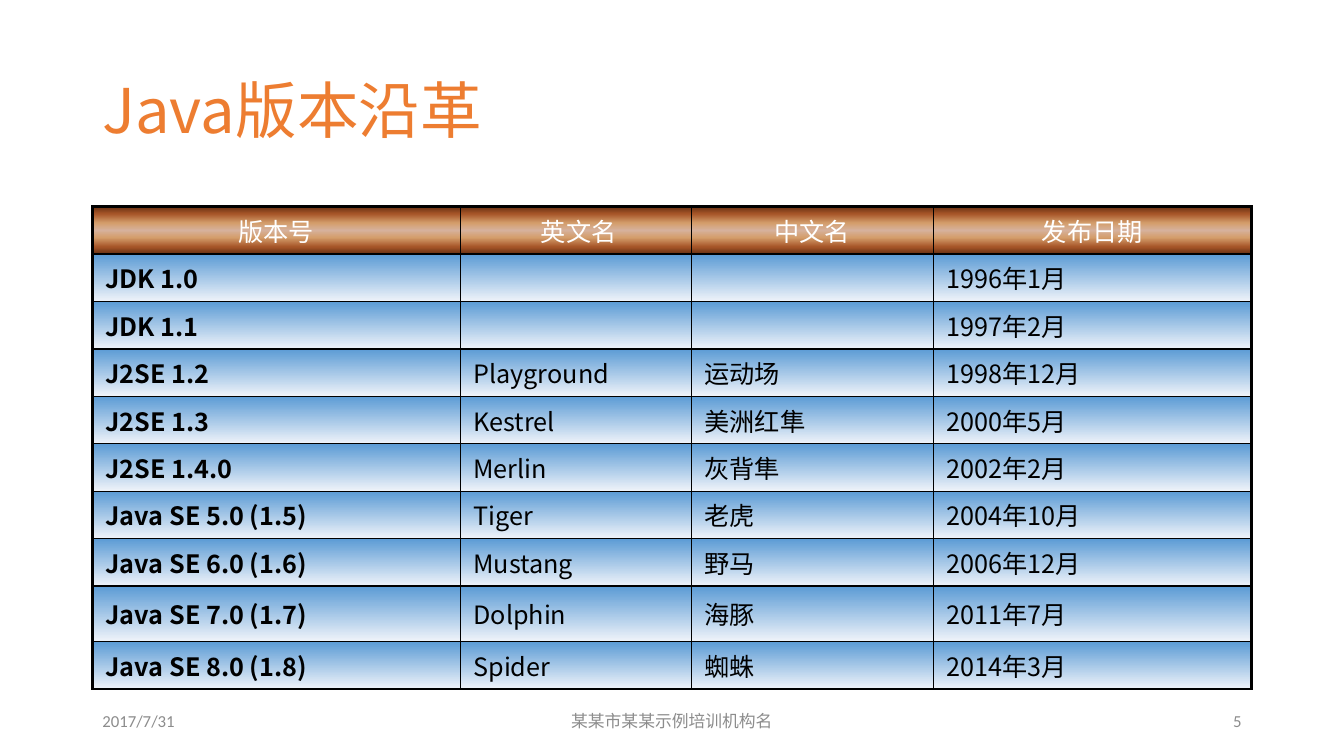
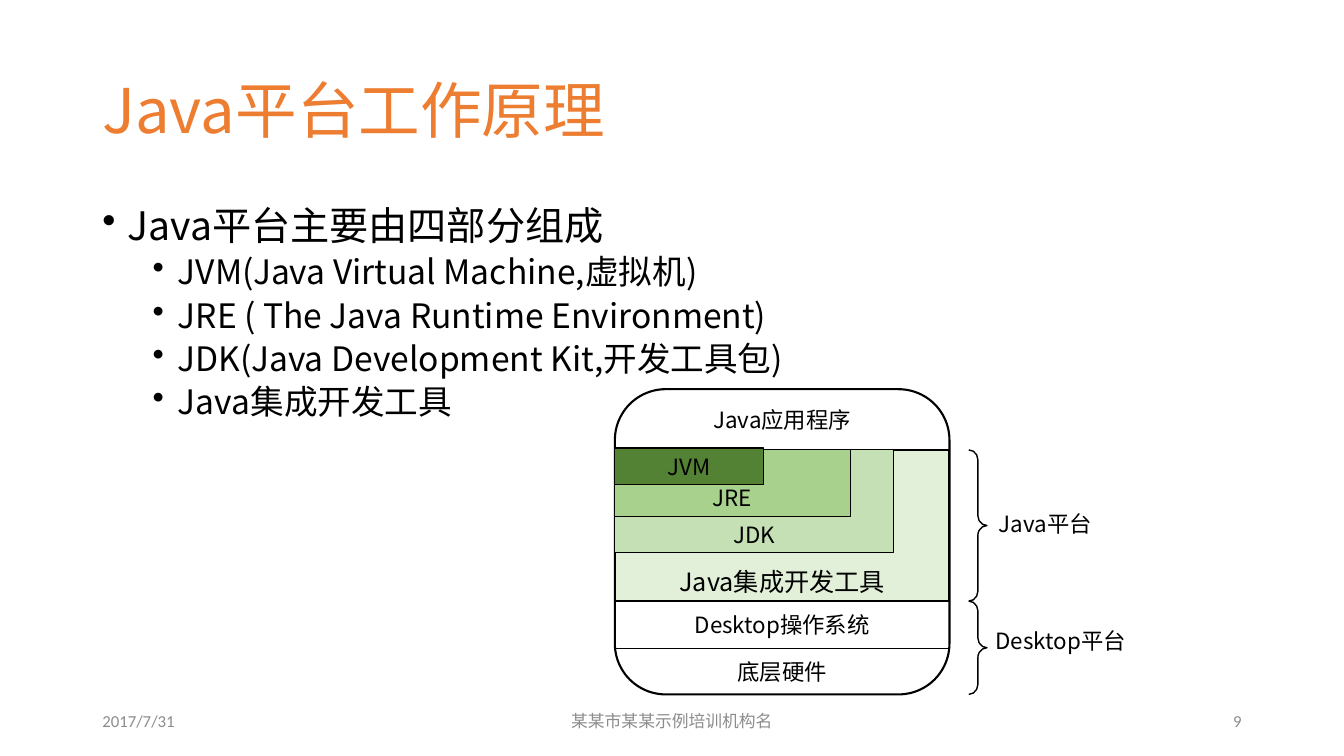
"""Build two slides on Java: its version history and how the platform is layered."""
from lxml import etree
from pptx import Presentation
from pptx.dml.color import RGBColor
from pptx.enum.shapes import MSO_CONNECTOR, MSO_SHAPE
from pptx.enum.text import MSO_ANCHOR, PP_ALIGN
from pptx.oxml.ns import qn
from pptx.util import Pt

LEFT, CENTER, RIGHT = PP_ALIGN.LEFT, PP_ALIGN.CENTER, PP_ALIGN.RIGHT
TOP, MIDDLE, BOTTOM = MSO_ANCHOR.TOP, MSO_ANCHOR.MIDDLE, MSO_ANCHOR.BOTTOM
RECTANGLE, BRACE = MSO_SHAPE.RECTANGLE, MSO_SHAPE.RIGHT_BRACE
ROUNDED = MSO_SHAPE.FLOWCHART_ALTERNATE_PROCESS
STRAIGHT = MSO_CONNECTOR.STRAIGHT

BLACK = RGBColor(0x00, 0x00, 0x00)
WHITE = RGBColor(0xFF, 0xFF, 0xFF)
ORANGE = RGBColor(0xED, 0x7D, 0x31)
GRAY = RGBColor(0x8C, 0x8C, 0x8C)
GREEN_PALE = RGBColor(0xE2, 0xF0, 0xD9)
GREEN_LIGHT = RGBColor(0xC5, 0xE0, 0xB4)
GREEN_MEDIUM = RGBColor(0xA9, 0xD1, 0x8E)
GREEN_DARK = RGBColor(0x54, 0x82, 0x35)
BROWN_DARK = RGBColor(0x66, 0x30, 0x12)
BROWN = RGBColor(0xA6, 0x55, 0x28)
TAN = RGBColor(0xD4, 0x9E, 0x6C)
TAN_PALE = RGBColor(0xD6, 0xB1, 0x9C)
BLUE = RGBColor(0x5B, 0x9B, 0xD5)
BLUE_PALE = RGBColor(0xEF, 0xF3, 0xF9)

COPPER_GRADIENT = [(0, BROWN_DARK), (15, BROWN), (35, TAN), (50, TAN_PALE),
                   (65, TAN), (85, BROWN), (100, BROWN_DARK)]
BLUE_GRADIENT = [(0, BLUE), (100, BLUE_PALE)]

CJK_FONT, LATIN_FONT = "Noto Sans CJK SC", "Calibri"
MARGIN, CONTENT_WIDTH = 66, 828
THIN, THICK = 1, 2.25

VERSIONS = [
    ("版本号", " 英文名", "中文名", "发布日期"),
    ("JDK 1.0", "", "", "1996年1月"),
    ("JDK 1.1", "", "", "1997年2月"),
    ("J2SE 1.2", "Playground", "运动场", "1998年12月"),
    ("J2SE 1.3", "Kestrel", "美洲红隼", "2000年5月"),
    ("J2SE 1.4.0", "Merlin", "灰背隼", "2002年2月"),
    ("Java SE 5.0 (1.5)", "Tiger", "老虎", "2004年10月"),
    ("Java SE 6.0 (1.6)", "Mustang", "野马", "2006年12月"),
    ("Java SE 7.0 (1.7)", "Dolphin", "海豚", "2011年7月"),
    ("Java SE 8.0 (1.8)", "Spider", "蜘蛛", "2014年3月"),
]
COLUMN_WIDTHS = [262.8, 165, 172.8, 227.4]
ROW_HEIGHT, TALL_ROW_HEIGHT, TALL_ROW = 33.9, 39.6, 8

PARTS = [
    (0, "Java平台主要由四部分组成"),
    (1, "JVM(Java Virtual Machine,虚拟机)"),
    (1, "JRE ( The Java Runtime Environment)"),
    (1, "JDK(Java Development Kit,开发工具包)"),
    (1, "Java集成开发工具"),
]
LEVELS = [{"size": 28, "before": 10, "indent": 18},
          {"size": 24, "before": 5, "indent": 54}]


def points(*values):
    """Convert numbers to point lengths."""
    return [Pt(value) for value in values]


def add_span(para, text, size, color=BLACK, font=CJK_FONT, bold=False):
    """Add a run of text in one Latin and East Asian font."""
    span = para.add_run()
    span.text = text
    span.font.color.rgb = color
    for name, value in {"size": Pt(size), "name": font, "bold": bold}.items():
        setattr(span.font, name, value)
    etree.SubElement(span.font._element, qn("a:ea"), typeface=font)


def fill_frame(frame, text, size, align=CENTER, anchor=MIDDLE, **font):
    """Write one paragraph into a text frame and return it."""
    for name, value in {"word_wrap": True, "vertical_anchor": anchor}.items():
        setattr(frame, name, value)
    para = frame.paragraphs[0]
    para.alignment = align
    add_span(para, text, size, **font)
    return para


def add_label(shapes, bounds, text, size, **style):
    """Add a text box holding one paragraph."""
    box = shapes.add_textbox(*points(*bounds))
    return fill_frame(box.text_frame, text, size, **style)


def add_block(shapes, kind, bounds, fill=None, line=0.75):
    """Add an outlined shape, filled when a colour is given."""
    block = shapes.add_shape(kind, *points(*bounds))
    block.shadow.inherit = False
    if fill is None:
        block.fill.background()
    else:
        block.fill.solid()
        block.fill.fore_color.rgb = fill
    block.line.color.rgb = BLACK
    block.line.width = Pt(line)
    return block


def add_rule(shapes, left, right, height):
    """Add a horizontal line."""
    rule = shapes.add_connector(STRAIGHT, *points(left, height, right, height))
    rule.line.color.rgb = BLACK
    rule.line.width = Pt(0.75)
    etree.SubElement(rule._element.spPr, qn("a:effectLst"))


def add_page(deck, title, number):
    """Add a blank page with the shared title and footer."""
    page = deck.slides.add_slide(deck.slide_layouts[6])
    para = add_label(page.shapes, (MARGIN, 28.8, 626, 104.4), title, 44,
                     align=LEFT, color=ORANGE)
    para.line_spacing = 0.9
    footer = [
        (MARGIN, 216, "2017/7/31", LEFT, LATIN_FONT),
        (318, 324, "某某市某某示例培训机构名", CENTER, CJK_FONT),
        (678, 216, str(number), RIGHT, LATIN_FONT),
    ]
    for left, width, text, align, font in footer:
        add_label(page.shapes, (left, 500.5, width, 28.8), text, 12,
                  align=align, color=GRAY, font=font)
    return page


def add_color(parent, color):
    """Add a solid colour element."""
    etree.SubElement(parent, qn("a:srgbClr"), val=str(color))


def paint_cell(cell, borders, gradient):
    """Give a cell its four borders and a downward gradient."""
    properties = cell._tc.get_or_add_tcPr()
    for side, width in borders.items():
        border = etree.SubElement(properties, qn("a:ln" + side), w=str(Pt(width)))
        add_color(etree.SubElement(border, qn("a:solidFill")), BLACK)
    fill = etree.SubElement(properties, qn("a:gradFill"), rotWithShape="1")
    stops = etree.SubElement(fill, qn("a:gsLst"))
    for position, color in gradient:
        add_color(etree.SubElement(stops, qn("a:gs"), pos=str(position * 1000)), color)
    etree.SubElement(fill, qn("a:lin"), ang="5400000", scaled="0")


def add_version_table(page):
    """Add the table of versions with a thick outer frame."""
    last_row, last_column = len(VERSIONS) - 1, len(COLUMN_WIDTHS) - 1
    height = ROW_HEIGHT * last_row + TALL_ROW_HEIGHT
    bounds = points(MARGIN, 147.6, CONTENT_WIDTH, height)
    table = page.shapes.add_table(last_row + 1, last_column + 1, *bounds).table
    table.first_row = table.horz_banding = False
    for column, width in zip(table.columns, COLUMN_WIDTHS):
        column.width = Pt(width)
    for y, texts in enumerate(VERSIONS):
        table.rows[y].height = Pt(TALL_ROW_HEIGHT if y == TALL_ROW else ROW_HEIGHT)
        header = y == 0
        for x, text in enumerate(texts):
            cell = table.cell(y, x)
            layout = {"margin_left": Pt(9.4), "margin_right": Pt(9.4),
                      "margin_top": Pt(3.6), "margin_bottom": Pt(3.6),
                      "vertical_anchor": MIDDLE}
            for name, value in layout.items():
                setattr(cell, name, value)
            para = cell.text_frame.paragraphs[0]
            para.alignment = CENTER if header else LEFT
            add_span(para, text, 18, color=WHITE if header else BLACK,
                     bold=x == 0 and not header)
            outer = {"L": x == 0, "R": x == last_column,
                     "T": header, "B": y == last_row}
            borders = {side: THICK if edge else THIN for side, edge in outer.items()}
            paint_cell(cell, borders, COPPER_GRADIENT if header else BLUE_GRADIENT)


def add_bullets(page, items):
    """Add a bulleted list of (level, text) items."""
    box = page.shapes.add_textbox(*points(MARGIN, 144, CONTENT_WIDTH, 342.7))
    frame = box.text_frame
    frame.word_wrap = True
    for index, (level, text) in enumerate(items):
        para = frame.add_paragraph() if index else frame.paragraphs[0]
        style = LEVELS[level]
        layout = {"level": level, "line_spacing": 0.9,
                  "space_before": Pt(style["before"])}
        for name, value in layout.items():
            setattr(para, name, value)
        properties = para._p.get_or_add_pPr()
        properties.set("marL", str(Pt(style["indent"])))
        properties.set("indent", str(Pt(-18)))
        etree.SubElement(properties, qn("a:buChar"), char="•")
        add_span(para, text, style["size"])


def add_platform_diagram(page):
    """Add the nested layers of the Java platform with braces."""
    shapes = page.shapes.add_group_shape().shapes
    left, width = 439.2, 239
    top, platform, system, hardware, bottom = 278, 321.4, 429.4, 463, 496
    add_block(shapes, ROUNDED, (left, top, width, bottom - top), WHITE, 1.5)
    add_rule(shapes, left, left + width, hardware)

    layers = [
        ("Java集成开发工具", platform, width, 108, GREEN_PALE, 18, 1.5, BOTTOM),
        ("JDK", platform, 199, 73.5, GREEN_LIGHT, 16, 0.75, BOTTOM),
        ("JRE", platform, 168, 47.5, GREEN_MEDIUM, 16, 0.75, BOTTOM),
        ("JVM", platform - 1.4, 106.5, 26.4, GREEN_DARK, 16, 0.75, MIDDLE),
    ]
    for text, y, span_width, height, fill, size, line, anchor in layers:
        block = add_block(shapes, RECTANGLE, (left, y, span_width, height), fill, line)
        fill_frame(block.text_frame, text, size, anchor=anchor)

    bands = [("Java应用程序", top, platform), ("Desktop操作系统", system, hardware),
             ("底层硬件", hardware, bottom)]
    for text, start, end in bands:
        add_label(shapes, (left, start, width, end - start), text, 16)

    for start, end in [(platform, system), (system, bottom)]:
        brace = add_block(shapes, BRACE, (692, start, 13, end - start), line=1)
        brace.adjustments[0] = 0.54
    for text, x, y, label_width in [("Java平台", 706.4, 351.7, 106.6),
                                    ("Desktop平台", 704, 435.7, 147)]:
        add_label(shapes, (x, y, label_width, 44), text, 16, align=LEFT)


def main():
    """Build and save the deck."""
    deck = Presentation()
    deck.slide_width, deck.slide_height = points(960, 540)
    add_version_table(add_page(deck, "Java版本沿革", 5))
    page = add_page(deck, "Java平台工作原理", 9)
    add_bullets(page, PARTS)
    add_platform_diagram(page)
    deck.save("out.pptx")


if __name__ == "__main__":
    main()
